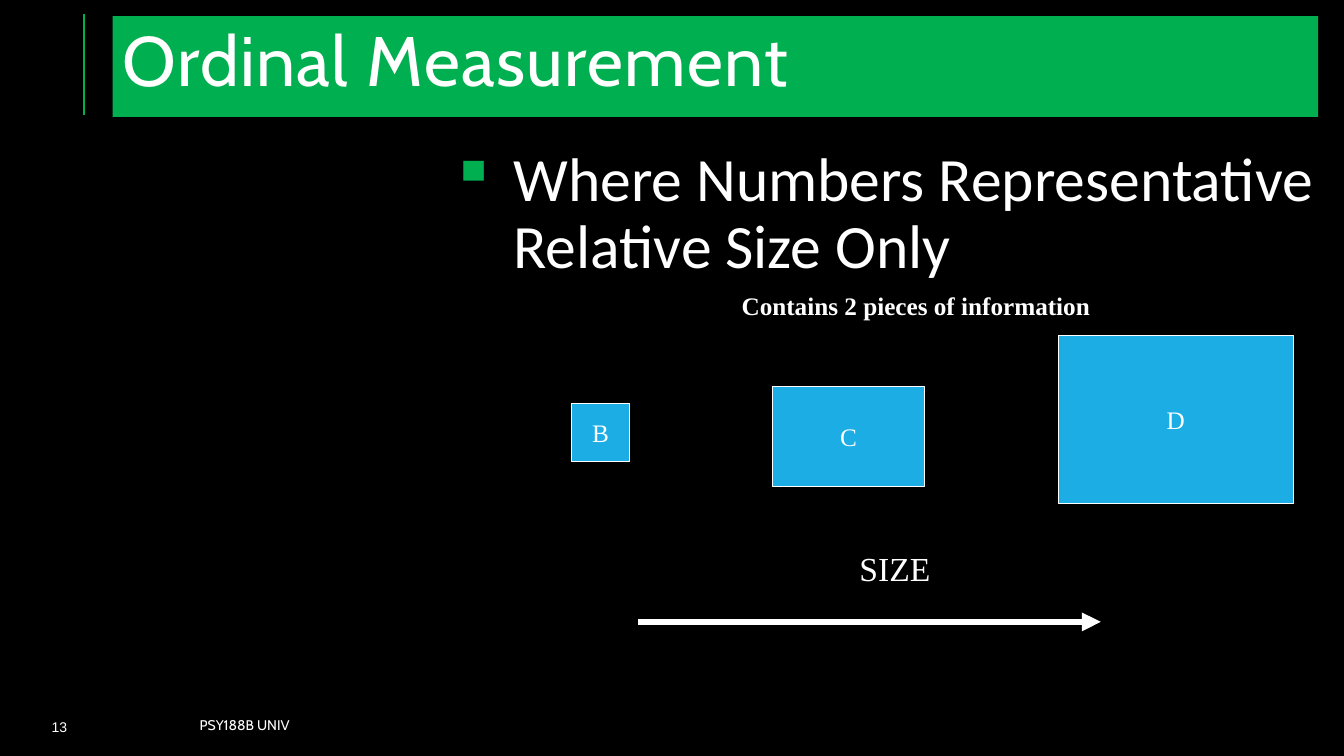
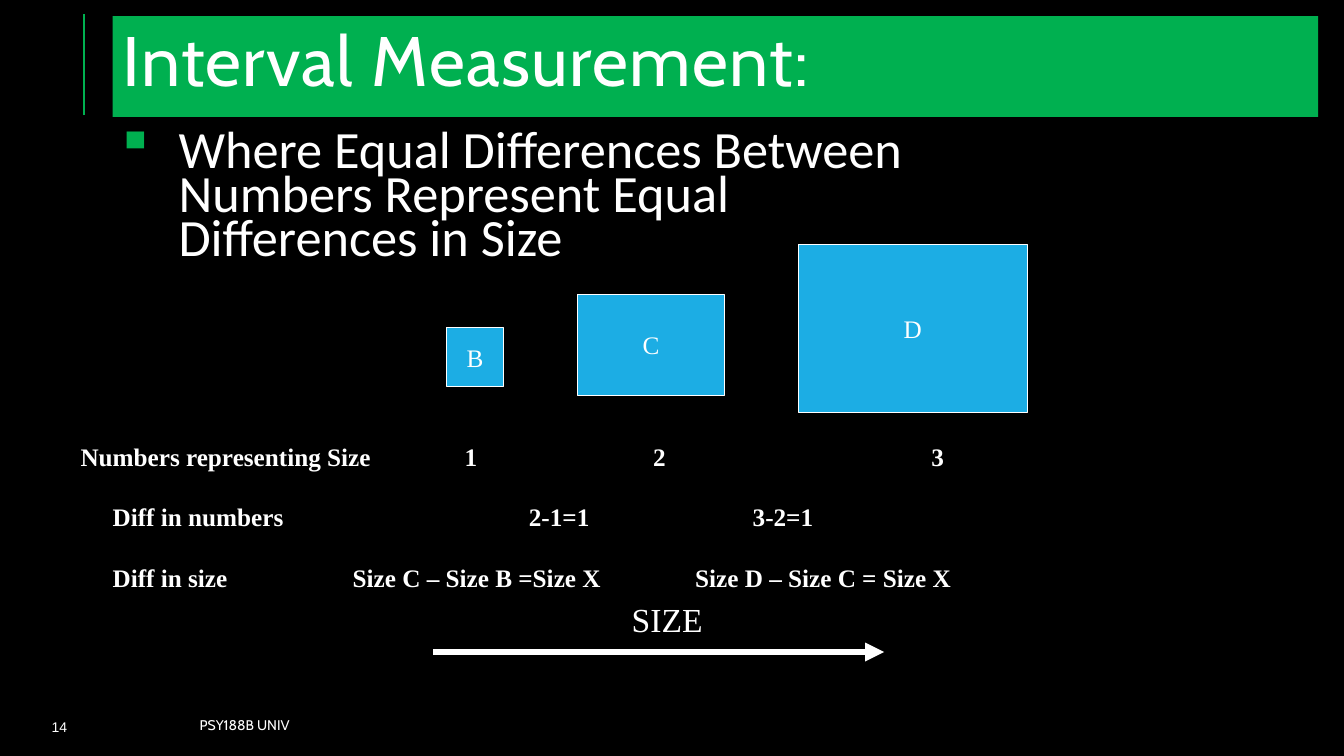
from lxml import etree
from pptx import Presentation
from pptx.dml.color import RGBColor
from pptx.enum import shapes, text
from pptx.oxml.ns import qn
from pptx.util import Cm, Pt

COLORS = {"back": "000000", "green": "00B050", "blue": "1CADE4", "white": "FFFFFF"}
SERIF = "Times New Roman"
FORMATS = {
    "title": {"name": "Cabin", "size": Pt(50)},
    "footer": {"name": "Cabin", "size": Pt(10)},
    "number": {"name": "Arial", "size": Pt(10)},
    "box": {"name": SERIF, "size": Pt(18)},
    "axis": {"name": SERIF, "size": Pt(24)},
    "label": {"name": SERIF, "size": Pt(18), "bold": True},
}
TITLE_BAND = (2.84, 0.41, 30.38, 2.54)
RULE = (2.11, 2.9, 2.11, 0.36)
FOOTER = ("PSY188B UNIV", (2.84, 17.88, 6.65, 0.76))
NUMBER_BOX = (0.15, 17.93, 2.69, 0.76)
BODY_INDENT = 1.58
SLIDES = [
    {
        "title": "Ordinal Measurement",
        "number": "13",
        "body": ("Where Numbers Representative Relative Size Only",
                 (11.23, 3.61, 22.02, 13.87), 44, 0.9),
        "boxes": [("B", (14.4, 10.16, 1.47, 1.47)),
                  ("C", (19.48, 9.73, 3.81, 2.54)),
                  ("D", (26.67, 8.46, 5.92, 4.24))],
        "axis": ("SIZE", (21.41, 13.67, 2.29, 1.27)),
        "arrow": (16.08, 15.67, 27.74, 15.67),
        "labels": [("Contains 2 pieces of information", (18.44, 7.19, 9.3, 1.02))],
        "differences": None,
    },
    {
        "title": "Interval Measurement:",
        "number": "14",
        "body": ("Where Equal Differences Between Numbers Represent Equal Differences in Size",
                 (2.79, 3.23, 22.07, 3.99), 37.4, 0.7),
        "boxes": [("B", (11.25, 8.26, 1.45, 1.47)),
                  ("C", (14.55, 7.42, 3.71, 2.54)),
                  ("D", (20.12, 6.15, 5.77, 4.24))],
        "axis": ("SIZE", (15.67, 14.96, 2.59, 1.27)),
        "arrow": (10.92, 16.43, 22.28, 16.43),
        "labels": [("Numbers representing Size", (1.78, 11, 7.9, 1.02)),
                   ("1", (11.46, 11, 0.84, 1.02)),
                   ("2", (16.21, 11, 0.84, 1.02)),
                   ("3", (23.22, 11, 0.84, 1.02))],
        "differences": ((2.59, 12.5, 22.07, 2.54), [
            (("Diff in numbers", "2-1=1", "3-2=1"), (10.49, 16.13)),
            (("Diff in size", "Size C – Size B =Size X", "Size D – Size C = Size X"),
             (6.05, 14.68)),
        ]),
    },
]


def rgb(name):
    return RGBColor.from_string(COLORS[name])


def apply(obj, values):
    for key, value in values.items():
        setattr(obj, key, value)


def add_xml(parent, tag, **attrs):
    return etree.SubElement(parent, qn(tag), attrs)


def write(p, words, fmt):
    r = p.add_run()
    r.text = words
    apply(r.font, fmt)
    r.font.color.rgb = rgb("white")
    return r


def add_text(slide, words, at, fmt, align=text.PP_ALIGN.LEFT,
             anchor=text.MSO_ANCHOR.TOP, wrap=True):
    sp = slide.shapes.add_textbox(*map(Cm, at))
    apply(sp.text_frame, {"word_wrap": wrap, "vertical_anchor": anchor})
    p = sp.text_frame.paragraphs[0]
    p.alignment = align
    write(p, words, fmt)
    return sp


def add_rect(slide, words, at, fill, fmt, align, wrap):
    sp = slide.shapes.add_shape(shapes.MSO_SHAPE.RECTANGLE, *map(Cm, at))
    sp.shadow.inherit = False
    sp.fill.solid()
    sp.fill.fore_color.rgb = rgb(fill)
    sp.line.fill.background()
    apply(sp.text_frame, {"word_wrap": wrap, "vertical_anchor": text.MSO_ANCHOR.MIDDLE})
    p = sp.text_frame.paragraphs[0]
    p.alignment = align
    write(p, words, fmt)
    return sp


def add_line(slide, ends, color, width, arrow=False):
    line = slide.shapes.add_connector(shapes.MSO_CONNECTOR.STRAIGHT, *map(Cm, ends))
    line.line.color.rgb = rgb(color)
    line.line.width = Pt(width)
    if arrow:
        add_xml(line.line._get_or_add_ln(), "a:tailEnd", type="triangle")
    add_xml(line._element.spPr, "a:effectLst")


def add_frame(slide, title, number):
    slide.background.fill.solid()
    slide.background.fill.fore_color.rgb = rgb("back")
    add_line(slide, RULE, "green", 1.5)
    band = add_rect(slide, title, TITLE_BAND, "green", FORMATS["title"],
                    text.PP_ALIGN.LEFT, True)
    p = band.text_frame.paragraphs[0]
    p.line_spacing = 0.8
    p.runs[0]._r.get_or_add_rPr().set("spc", "100")
    for (words, at), style in ((FOOTER, "footer"), ((number, NUMBER_BOX), "number")):
        add_text(slide, words, at, FORMATS[style], text.PP_ALIGN.CENTER,
                 text.MSO_ANCHOR.MIDDLE)


def add_body(slide, words, at, size, spacing):
    tf = add_text(slide, words, at, {"name": "Calibri", "size": Pt(size)}).text_frame
    sides = ("left", "top", "right", "bottom")
    apply(tf, {"margin_" + side: Cm(0.13) for side in sides})
    p = tf.paragraphs[0]
    apply(p, {"line_spacing": spacing, "space_before": Pt(12), "space_after": Pt(2)})
    pPr = p._p.get_or_add_pPr()
    pPr.set("marL", str(Cm(BODY_INDENT)))
    pPr.set("indent", str(-Cm(BODY_INDENT)))
    add_xml(add_xml(pPr, "a:buClr"), "a:srgbClr", val=COLORS["green"])
    add_xml(pPr, "a:buChar", char="▪")


def add_differences(slide, at, rows):
    sp = slide.shapes.add_textbox(*map(Cm, at))
    tf = sp.text_frame
    tf.word_wrap = True
    for i, (cells, stops) in enumerate(rows):
        p = tf.add_paragraph() if i else tf.paragraphs[0]
        p.space_before = Pt(22 if i else 0)
        tabs = add_xml(p._p.get_or_add_pPr(), "a:tabLst")
        for stop in stops:
            add_xml(tabs, "a:tab", pos=str(Cm(stop)), algn="l")
        write(p, "\t".join(cells), FORMATS["label"])


prs = Presentation()
apply(prs, {"slide_width": Cm(33.87), "slide_height": Cm(19.05)})
for content in SLIDES:
    slide = prs.slides.add_slide(prs.slide_layouts[6])
    add_frame(slide, content["title"], content["number"])
    add_body(slide, *content["body"])
    for letter, at in content["boxes"]:
        box = add_rect(slide, letter, at, "blue", FORMATS["box"],
                       text.PP_ALIGN.CENTER, False)
        box.line.color.rgb = rgb("white")
        box.line.width = Pt(0.75)
    add_text(slide, *content["axis"], FORMATS["axis"], wrap=False)
    add_line(slide, content["arrow"], "white", 4.5, arrow=True)
    for words, at in content["labels"]:
        add_text(slide, words, at, FORMATS["label"], wrap=False)
    if content["differences"]:
        add_differences(slide, *content["differences"])
prs.save("out.pptx")
